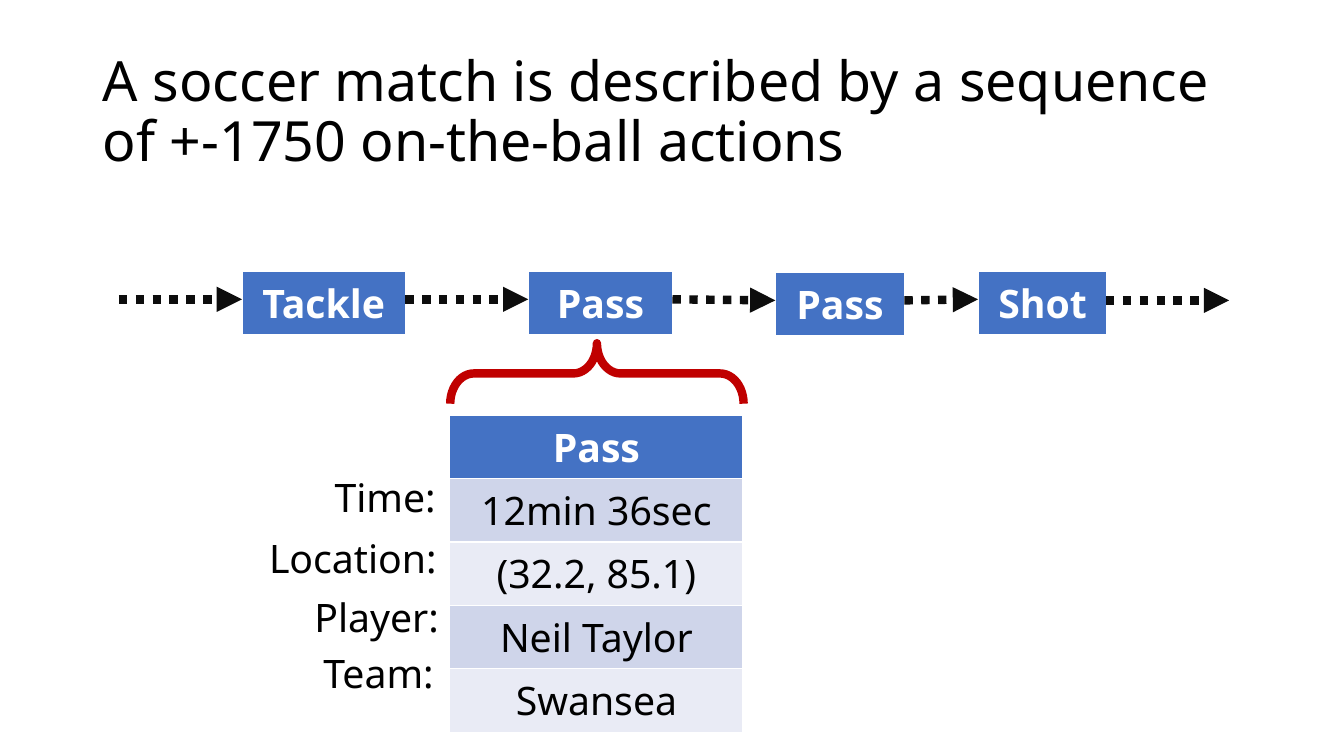
from lxml.etree import SubElement
from pptx import Presentation
from pptx.dml.color import RGBColor
from pptx.enum.dml import MSO_LINE
from pptx.enum.shapes import MSO_CONNECTOR, MSO_SHAPE
from pptx.enum.text import MSO_ANCHOR, MSO_AUTO_SIZE, PP_ALIGN
from pptx.oxml.ns import qn
from pptx.util import Pt

EMU_PER_PX = 9144  # 100 px to the inch
FONT = "Noto Sans"
BLUE, BAND_DARK, BAND_LIGHT = "4472C4", "CFD5EA", "E9EBF5"
BLACK, WHITE, ARROW, RED = "000000", "FFFFFF", "0D0D0D", "C00000"

# Name, left, top, width
ACTIONS = [
    ("Tackle", 240, 269, 162),
    ("Pass", 524, 269, 143),
    ("Pass", 769, 270, 128),
    ("Shot", 970, 269, 128),
]
# Start x, start y, end x, end y
ARROWS = [
    (118, 297, 240, 297),
    (402, 297, 524, 297),
    (667, 297, 769, 298),
    (897, 298, 970, 297),
    (1097, 298, 1219, 298),
]
DETAILS = ["Pass", "12min 36sec", "(32.2, 85.1)", "Neil Taylor", "Swansea"]
# Text, left, top, width
LABELS = [
    ("Time:", 322, 465, 140),
    ("Location:", 257, 525, 207),
    ("Player:", 302, 584, 159),
    ("Team:", 311, 639, 150),
]
ROW_HEIGHT = 57


def px(*lengths):
    return [length * EMU_PER_PX for length in lengths]


def color(hex_string):
    return RGBColor.from_string(hex_string)


def format_text(text_frame, size, hex_string, bold=False):
    for paragraph in text_frame.paragraphs:
        for run in paragraph.runs:
            run.font.name = FONT
            run.font.size = Pt(size)
            run.font.bold = bold
            run.font.color.rgb = color(hex_string)


def set_title(slide, text):
    title = slide.shapes.title
    title.left, title.top, title.width, title.height = px(92, 40, 1150, 145)
    text_frame = title.text_frame
    text_frame.text = text
    text_frame.word_wrap = True
    text_frame.auto_size = MSO_AUTO_SIZE.NONE
    text_frame.vertical_anchor = MSO_ANCHOR.MIDDLE
    text_frame.paragraphs[0].alignment = PP_ALIGN.LEFT
    text_frame.paragraphs[0].line_spacing = 0.9
    format_text(text_frame, 39.6, BLACK)


def add_column(slide, texts, left, top, width):
    """One-column table: a blue header, then banded rows."""
    frame = slide.shapes.add_table(
        len(texts), 1, *px(left, top, width, ROW_HEIGHT * len(texts)))
    for index, text in enumerate(texts):
        is_header = index == 0
        cell = frame.table.cell(index, 0)
        cell.fill.solid()
        band = BAND_DARK if index % 2 else BAND_LIGHT
        cell.fill.fore_color.rgb = color(BLUE if is_header else band)
        cell.text_frame.text = text
        cell.text_frame.paragraphs[0].alignment = PP_ALIGN.CENTER
        format_text(cell.text_frame, 28, WHITE if is_header else BLACK, is_header)


def add_arrow(slide, *ends):
    connector = slide.shapes.add_connector(MSO_CONNECTOR.STRAIGHT, *px(*ends))
    connector.line.color.rgb = color(ARROW)
    connector.line.width = Pt(6)
    connector.line.dash_style = MSO_LINE.ROUND_DOT
    properties = connector.element.spPr
    SubElement(properties.find(qn("a:ln")), qn("a:tailEnd"), type="triangle")
    SubElement(properties, qn("a:effectLst"))


def add_brace(slide):
    brace = slide.shapes.add_shape(MSO_SHAPE.LEFT_BRACE, *px(562, 225, 60, 291))
    brace.rotation = 90
    brace.adjustments[0] = 0.39
    brace.adjustments[1] = 0.5
    brace.shadow.inherit = False
    brace.fill.background()
    brace.line.color.rgb = color(RED)
    brace.line.width = Pt(6)


def add_label(slide, text, left, top, width):
    label = slide.shapes.add_textbox(*px(left, top, width, ROW_HEIGHT))
    text_frame = label.text_frame
    text_frame.text = text
    text_frame.word_wrap = False
    text_frame.auto_size = MSO_AUTO_SIZE.SHAPE_TO_FIT_TEXT
    format_text(text_frame, 28, BLACK)


def main():
    presentation = Presentation()
    presentation.slide_width, presentation.slide_height = px(1333, 750)
    slide = presentation.slides.add_slide(presentation.slide_layouts[5])
    set_title(slide, "A soccer match is described by a sequence "
                     "of +-1750 on-the-ball actions")

    # Sequence of actions
    for name, left, top, width in ACTIONS:
        add_column(slide, [name], left, top, width)
    for ends in ARROWS:
        add_arrow(slide, *ends)

    # Details of one pass
    add_column(slide, DETAILS, 446, 412, 291)
    add_brace(slide)
    for label in LABELS:
        add_label(slide, *label)

    presentation.save("out.pptx")


if __name__ == "__main__":
    main()
